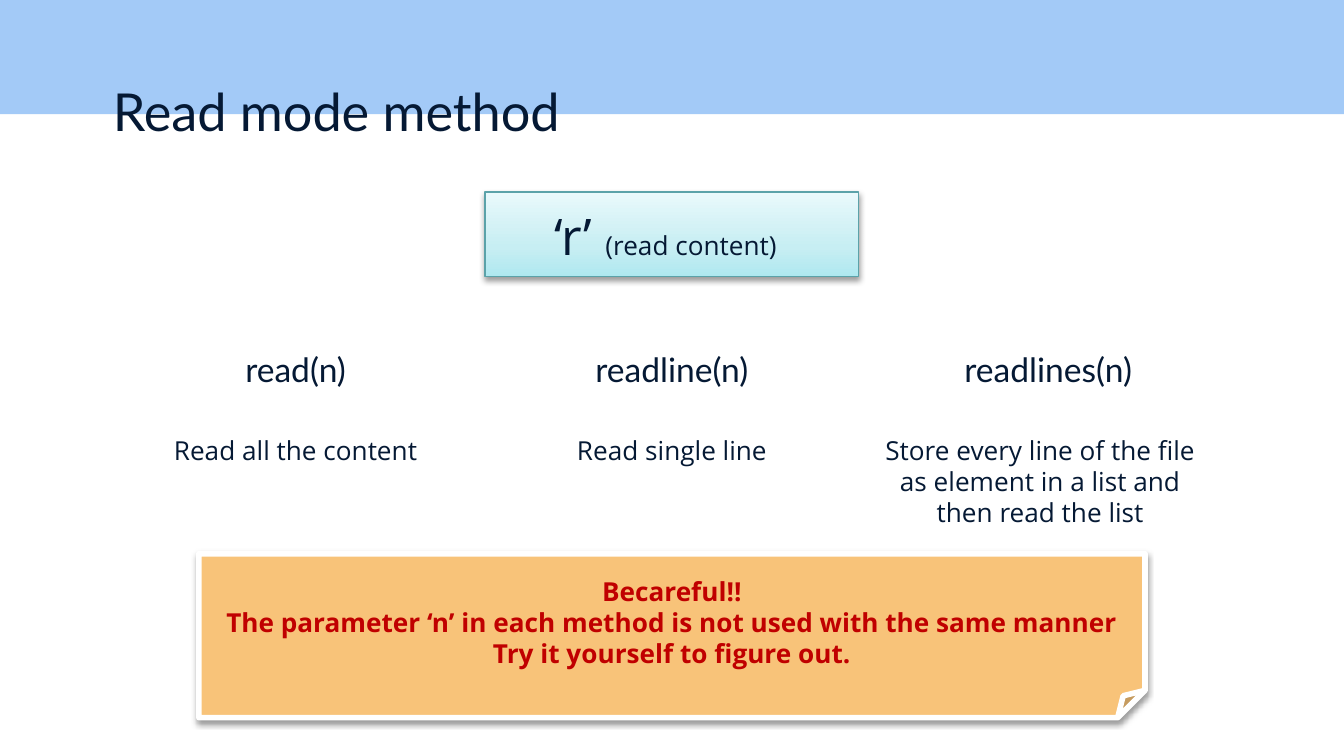
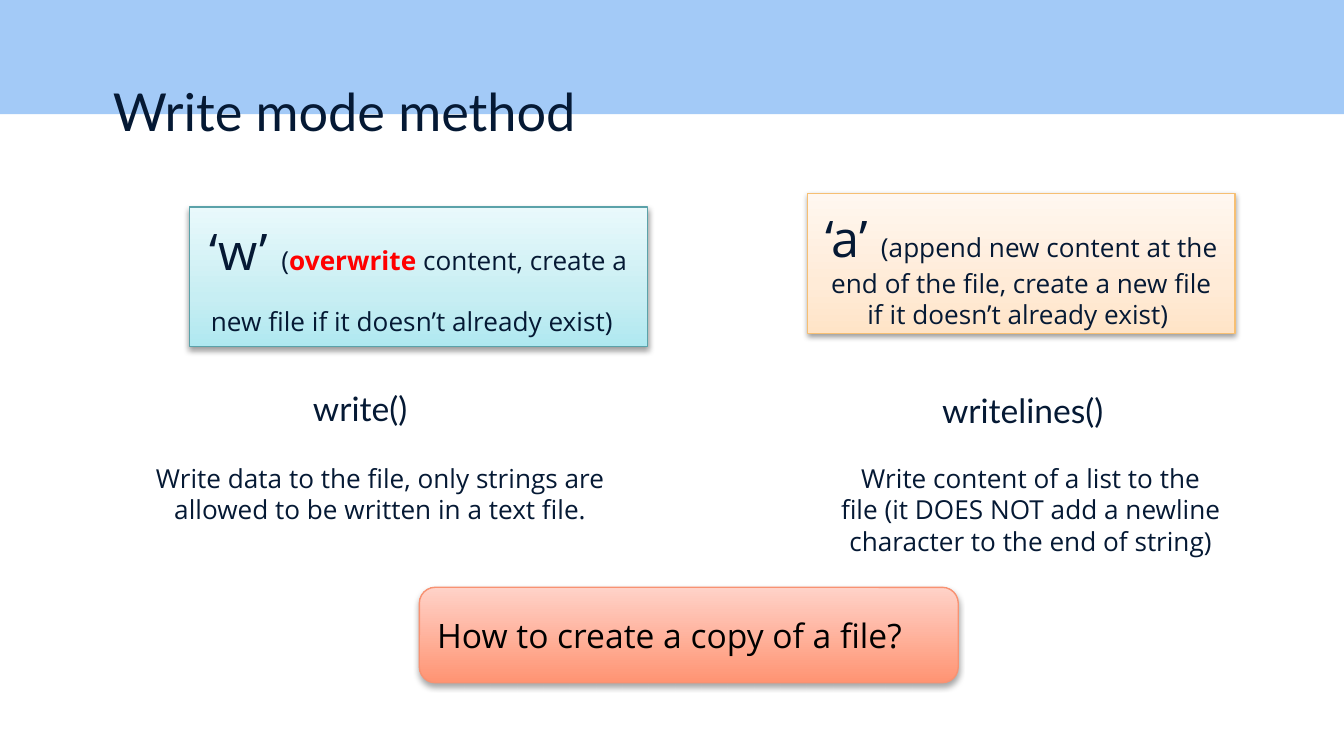
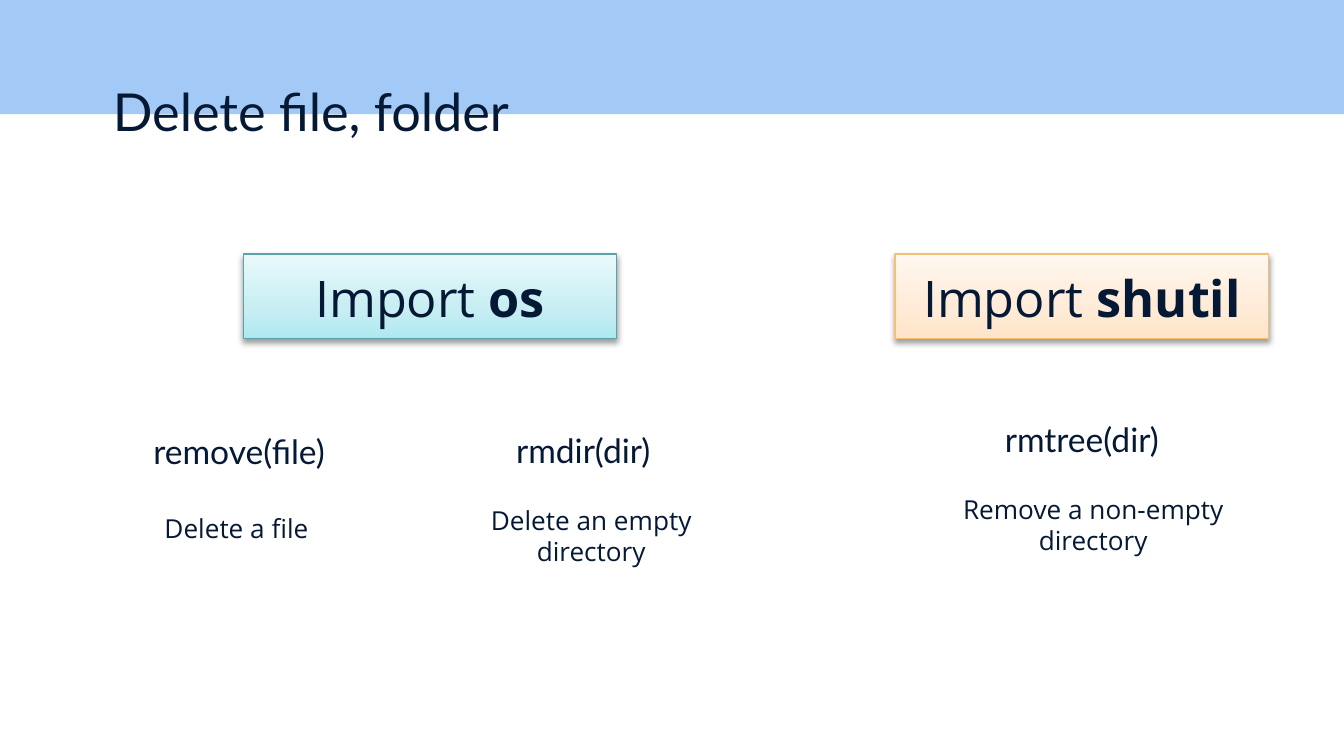
from lxml import etree
from pptx import Presentation
from pptx.dml.color import RGBColor
from pptx.enum.shapes import MSO_SHAPE
from pptx.enum.text import MSO_ANCHOR, MSO_AUTO_SIZE, PP_ALIGN
from pptx.oxml.ns import qn
from pptx.util import Emu, Pt

PX = 9144  # 100 px to the inch
TITLE_ONLY = 5
RECT, ROUNDED, FOLDED = (MSO_SHAPE.RECTANGLE, MSO_SHAPE.ROUNDED_RECTANGLE,
                         MSO_SHAPE.FOLDED_CORNER)
LEFT, CENTER = PP_ALIGN.LEFT, PP_ALIGN.CENTER
TOP, MIDDLE = MSO_ANCHOR.TOP, MSO_ANCHOR.MIDDLE
NO_FIT = MSO_AUTO_SIZE.NONE

HEAD_FONT, BODY_FONT = "Lato", "Open Sans"
BIG, SMALL, METHOD = 27, 14, 18
COLORS = {
    "band": "A3CAF7", "navy": "051934", "white": "FFFFFF", "black": "000000",
    "red": "FF0000", "dark_red": "C00000", "note": "F8C379",
    "teal_line": "5BA2A9", "orange_line": "F6BF73", "coral_line": "F89272",
}
GRADIENTS = {  # (position in percent, colour), from bottom to top
    "teal": [(0, "AFE8F0"), (35, "C7EEF3"), (100, "E9F9FB")],
    "orange": [(0, "FFE4C7"), (35, "FFEBD7"), (100, "FFF7F0")],
    "coral": [(0, "FF9473"), (100, "FFD2C8")],
}


def rgb(name):
    return RGBColor.from_string(COLORS[name])


def px(*lengths):
    return [Emu(n * PX) for n in lengths]


def write(tf, paragraphs, font, align=CENTER, anchor=TOP, inset=(10, 10), after=0):
    """Fill a frame with paragraphs of runs: (text, size, colour, bold)."""
    tf.word_wrap = True
    tf.auto_size = NO_FIT
    tf.vertical_anchor = anchor
    tf.margin_left, tf.margin_top = tf.margin_right, tf.margin_bottom = px(*inset)
    for i, runs in enumerate(paragraphs):
        p = tf.add_paragraph() if i else tf.paragraphs[0]
        p.alignment = align
        if after:
            p.space_after = Pt(after)
        for text, size, color, bold in runs:
            r = p.add_run()
            r.text = text
            r.font.name = font
            r.font.size = Pt(size)
            r.font.bold = bold
            r.font.color.rgb = rgb(color)


def run(text, size=SMALL, color="navy", bold=False):
    return text, size, color, bold


def add_text(s, box, text, size=SMALL, font=BODY_FONT):
    tf = s.shapes.add_textbox(*px(*box)).text_frame
    write(tf, [[run(text, size)]], font)


def add_method(s, name, name_box, text, text_box):
    add_text(s, name_box, name, METHOD, HEAD_FONT)
    add_text(s, text_box, text)


def add_shadow(sp, opacity, distance):
    sp.shadow.inherit = False
    effects = sp.element.spPr.find(qn("a:effectLst"))
    shadow = etree.SubElement(effects, qn("a:outerShdw"), blurRad="40000",
                              dist=str(distance), dir="5400000", rotWithShape="0")
    color = etree.SubElement(shadow, qn("a:srgbClr"), val=COLORS["black"])
    etree.SubElement(color, qn("a:alpha"), val=str(opacity * 1000))


def fill_gradient(sp, stops):
    sp.fill.gradient()
    sp.fill.gradient_angle = 90
    gs_list = sp.element.spPr.find(qn("a:gradFill")).find(qn("a:gsLst"))
    gs_list.clear()
    for position, color in stops:
        gs = etree.SubElement(gs_list, qn("a:gs"), pos=str(position * 1000))
        etree.SubElement(gs, qn("a:srgbClr"), val=color)


def add_panel(s, kind, box, line, width=0.75, opacity=38, distance=20000):
    sp = s.shapes.add_shape(kind, *px(*box))
    sp.line.color.rgb = rgb(line)
    sp.line.width = Pt(width)
    add_shadow(sp, opacity, distance)
    return sp


def add_mode(s, box, theme, runs, after=0):
    """Gradient box that names a file mode or a module."""
    sp = add_panel(s, RECT, box, theme + "_line")
    fill_gradient(sp, GRADIENTS[theme])
    write(sp.text_frame, [runs], BODY_FONT, after=after)


def add_warning(s, box, lines):
    sp = add_panel(s, FOLDED, box, "white", width=3)
    sp.fill.solid()
    sp.fill.fore_color.rgb = rgb("note")
    write(sp.text_frame, [[run(line, SMALL, "dark_red", True)] for line in lines],
          BODY_FONT, anchor=MIDDLE, inset=(10, 5))


def add_question(s, box, text):
    sp = add_panel(s, ROUNDED, box, "coral_line", opacity=35, distance=23000)
    fill_gradient(sp, GRADIENTS["coral"])
    write(sp.text_frame, [[run(text, 18, "black")]], BODY_FONT, LEFT, MIDDLE, (10, 5))


def add_slide(prs, title):
    s = prs.slides.add_slide(prs.slide_layouts[TITLE_ONLY])
    sp = s.shapes.title
    sp.left, sp.top, sp.width, sp.height = px(74, 49, 773, 63)
    write(sp.text_frame, [[run(title, 28)]], HEAD_FONT, LEFT)
    return s


def move_band_to_layout(s):
    """Draw the top band and place it at the back of the slide's layout."""
    sp = s.shapes.add_shape(RECT, *px(0, 0, 1000, 85))
    sp.shadow.inherit = False
    sp.fill.solid()
    sp.fill.fore_color.rgb = rgb("band")
    sp.line.fill.background()
    sp.element.nvSpPr.cNvPr.set("id", "20")
    s.slide_layout.shapes.element.insert(2, sp.element)


def read_slide(prs):
    s = add_slide(prs, "Read mode method")
    move_band_to_layout(s)
    methods = [
        ("read(n)", "Read all the content", 0, 59),
        ("readline(n)", "Read single line", 0, 59),
        ("readlines(n)", "Store every line of the file as element in a list "
                         "and then read the list", -6, 98),
    ]
    for i, (name, text, shift, height) in enumerate(methods):
        left = 93 + 280 * i
        add_method(s, name, (left, 250, 254, 63),
                   text, (left + shift, 313, 254, height))
    add_mode(s, (361, 143, 278, 63), "teal",
             [run("‘r’ ", BIG), run("(read content)"), run(" ", BIG)], after=16)
    add_warning(s, (148, 412, 704, 122), [
        "Becareful!!",
        "The parameter ‘n’ in each method is not used with the same manner",
        "Try it yourself to figure out.",
    ])


def write_slide(prs):
    s = add_slide(prs, "Write mode method")
    add_method(s, "write()", (141, 279, 254, 63),
               "Write data to the file, only strings are allowed to be written "
               "in a text file.", (74, 334, 418, 68))
    add_method(s, "writelines()", (634, 280, 254, 63),
               "Write content of a list to the file (it DOES NOT add a newline "
               "character to the end of string)", (615, 334, 304, 85))
    add_mode(s, (141, 154, 341, 104), "teal", [
        run("‘w’ ", BIG), run("("), run("overwrite ", color="red", bold=True),
        run("content, create a new file if it doesn’t already exist)"),
        run(" ", BIG),
    ])
    add_mode(s, (601, 144, 318, 104), "orange", [
        run("‘a’ ", BIG),
        run("(append new content at the end of the file, create a new file "
            "if it doesn’t already exist) "),
    ])
    add_question(s, (312, 437, 401, 71), "How to create a copy of a file?")


def delete_slide(prs):
    s = add_slide(prs, "Delete file, folder")
    add_method(s, "remove(file)", (51, 311, 254, 63),
               "Delete a file", (49, 371, 254, 59))
    add_method(s, "rmdir(dir)", (307, 310, 254, 63),
               "Delete an empty directory", (313, 365, 254, 59))
    add_method(s, "rmtree(dir)", (678, 302, 254, 63),
               "Remove a non-empty directory", (702, 357, 223, 87))
    for left, theme, module in [(181, "teal", "os"), (666, "orange", "shutil")]:
        add_mode(s, (left, 189, 278, 63), theme,
                 [run("Import ", BIG), run(module, BIG, bold=True)], after=16)


def main():
    prs = Presentation()
    prs.slide_width = Emu(1000 * PX)
    prs.slide_height = Emu(prs.slide_width * 9 // 16)
    read_slide(prs)
    write_slide(prs)
    delete_slide(prs)
    prs.save("out.pptx")


if __name__ == "__main__":
    main()
